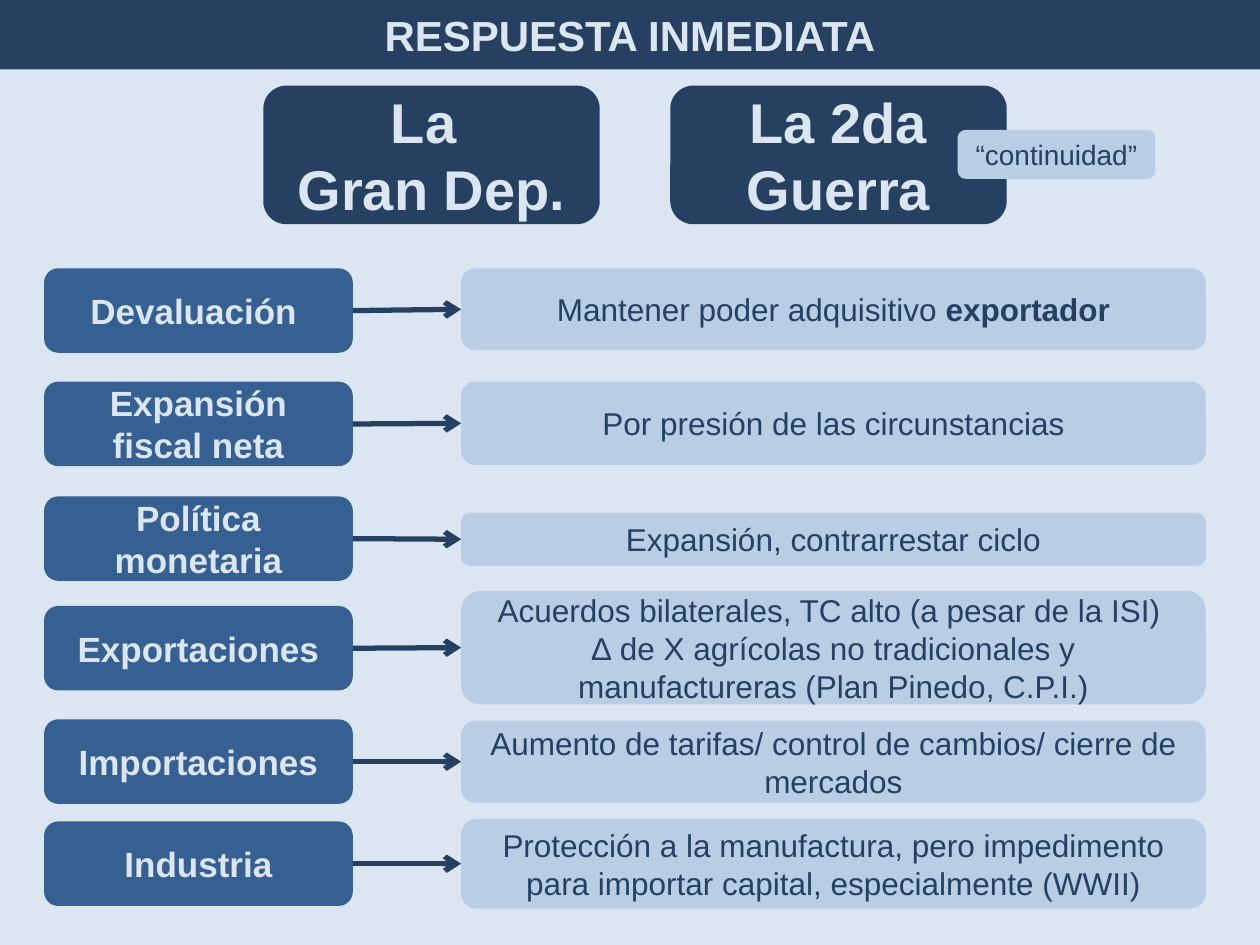
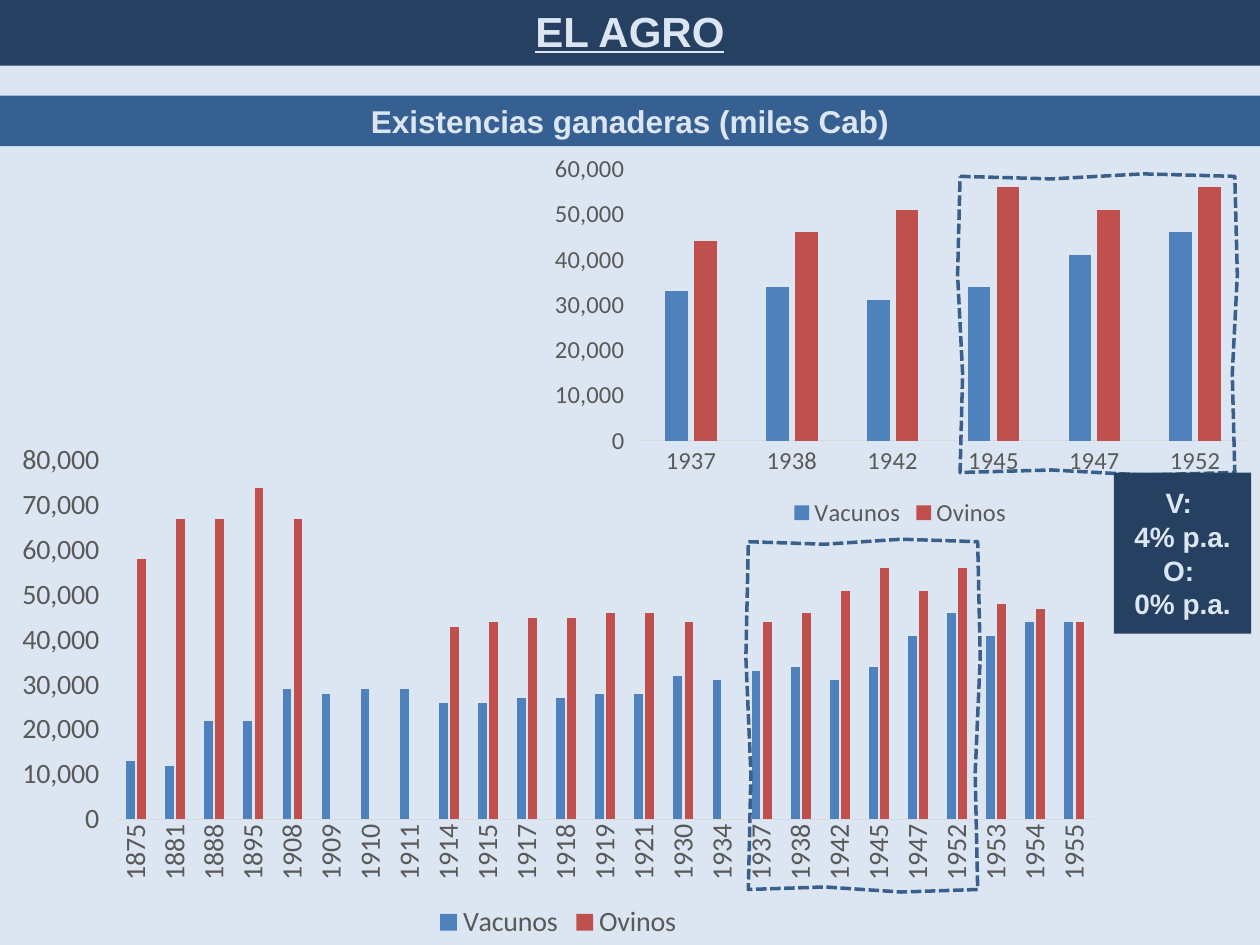
from lxml.etree import SubElement
from pptx import Presentation
from pptx.chart.data import CategoryChartData
from pptx.dml.color import RGBColor
from pptx.enum.chart import XL_CHART_TYPE as ChartType, XL_LEGEND_POSITION as LegendPos, XL_TICK_MARK as Tick
from pptx.enum.dml import MSO_LINE as Dash
from pptx.enum.shapes import MSO_CONNECTOR as Link, MSO_SHAPE as Preset
from pptx.enum.text import MSO_ANCHOR as Anchor, PP_ALIGN as Align
from pptx.oxml.ns import qn
from pptx.util import Inches, Pt

# Shared look
WIDTH, HEIGHT = 10, 7.5
PALE, LIGHT, MEDIUM, DARK = "DCE6F2", "B9CDE5", "376092", "254061"
GREY, AXIS_GREY, DASH_BLUE = "595959", "D9D9D9", "3A5F8C"
rgb = RGBColor.from_string


def add_box(slide, place, text, fill, size, color=PALE, bold=True,
            preset=Preset.ROUNDED_RECTANGLE, emphasis=""):
    """Filled box with centred text; emphasis is a bold ending."""
    box = slide.shapes.add_shape(preset, *map(Inches, place))
    box.shadow.inherit = False
    box.fill.solid()
    box.fill.fore_color.rgb = rgb(fill)
    box.line.fill.background()
    frame = box.text_frame
    frame.word_wrap = True
    frame.vertical_anchor = Anchor.MIDDLE
    frame.text = text
    if emphasis:
        frame.paragraphs[-1].add_run().text = emphasis
    for paragraph in frame.paragraphs:
        paragraph.alignment = Align.CENTER
        for run in paragraph.runs:
            run.font.name = "Arial"
            run.font.size = Pt(size)
            run.font.bold = bold or run.text == emphasis
            run.font.color.rgb = rgb(color)
    return box


def add_title(slide, text, top):
    """Dark band across the top of a slide."""
    band = add_box(slide, (0, top, WIDTH, 0.55), text, DARK, 24)
    band.adjustments[0] = 0
    return band


prs = Presentation()
prs.slide_width, prs.slide_height = Inches(WIDTH), Inches(HEIGHT)
response, farming = [prs.slides.add_slide(prs.slide_layouts[6]) for _ in range(2)]
for slide in (response, farming):
    slide.background.fill.solid()
    slide.background.fill.fore_color.rgb = rgb(PALE)

# Slide 1: immediate response
add_title(response, "RESPUESTA INMEDIATA", 0)
for left, period in ((2.09, "La \nGran Dep."), (5.32, "La 2da Guerra")):
    add_box(response, (left, 0.68, 2.67, 1.1), period, DARK, 32)
add_box(response, (7.6, 1.03, 1.57, 0.39), "“continuidad”", LIGHT, 16, DARK, False)

# Policies: top, policy, effect top and height, effect, bold ending
POLICY_LEFT, POLICY_WIDTH, POLICY_HEIGHT = 0.35, 2.45, 0.67
EFFECT_LEFT, EFFECT_WIDTH = 3.66, 5.91
policies = [
    (2.13, "Devaluación ", 2.13, 0.65, "Mantener poder adquisitivo ", "exportador"),
    (3.03, "Expansión fiscal neta", 3.03, 0.66, "Por presión de las circunstancias", ""),
    (3.94, "Política monetaria", 4.07, 0.42, "Expansión, contrarrestar ciclo", ""),
    (4.81, "Exportaciones", 4.69, 0.9,
     "Acuerdos bilaterales, TC alto (a pesar de la ISI) \n"
     "∆ de X agrícolas no tradicionales y manufactureras (Plan Pinedo, C.P.I.)", ""),
    (5.71, "Importaciones", 5.72, 0.65,
     "Aumento de tarifas/ control de cambios/ cierre de mercados", ""),
    (6.52, "Industria", 6.5, 0.71,
     "Protección a la manufactura, pero impedimento para importar capital, "
     "especialmente (WWII)", ""),
]
for policy_top, policy, effect_top, effect_height, effect, ending in policies:
    policy_box = add_box(
        response, (POLICY_LEFT, policy_top, POLICY_WIDTH, POLICY_HEIGHT),
        policy, MEDIUM, 20)
    effect_box = add_box(
        response, (EFFECT_LEFT, effect_top, EFFECT_WIDTH, effect_height),
        effect, LIGHT, 18, DARK, False, emphasis=ending)
    arrow = response.shapes.add_connector(Link.STRAIGHT, 0, 0, 0, 0)
    arrow.begin_connect(policy_box, 3)
    arrow.end_connect(effect_box, 1)
    arrow.line.color.rgb = rgb(DARK)
    arrow.line.width = Pt(3)
    outline = arrow.element.xpath(".//a:ln")[0]
    SubElement(outline, qn("a:tailEnd"), type="arrow")
    SubElement(outline.getparent(), qn("a:effectLst"))

# Slide 2: livestock, in thousands of head
add_box(farming, (0, 0.76, WIDTH, 0.4), "Existencias ganaderas (miles Cab)", MEDIUM, 18,
        preset=Preset.RECTANGLE)
years = [1875, 1881, 1888, 1895, 1908, 1909, 1910, 1911, 1914, 1915, 1917, 1918, 1919,
         1921, 1930, 1934, 1937, 1938, 1942, 1945, 1947, 1952, 1953, 1954, 1955]
herds = [
    ("Vacunos", "4F81BD", [13, 12, 22, 22, 29, 28, 29, 29, 26, 26, 27, 27, 28,
                           28, 32, 31, 33, 34, 31, 34, 41, 46, 41, 44, 44]),
    ("Ovinos", "C0504D", [58, 67, 67, 74, 67, None, None, None, 43, 44, 45, 45, 46,
                          46, 44, None, 44, 46, 51, 56, 51, 56, 48, 47, 44]),
]
war_years = slice(years.index(1937), years.index(1953))

# Long run below, war years enlarged above
charts = [
    ((0, 3.44, 8.86, 4.06), slice(None), 16, 80000, -90),
    ((4.29, 1.16, 5.71, 3.07), war_years, 14, 60000, 0),
]
for place, span, size, top_value, label_angle in charts:
    data = CategoryChartData()
    data.categories = [str(year) for year in years[span]]
    for herd, _, heads in herds:
        data.add_series(herd, [None if n is None else n * 1000 for n in heads[span]])
    chart = farming.shapes.add_chart(
        ChartType.COLUMN_CLUSTERED, *map(Inches, place), data).chart
    chart.has_title = False
    chart.has_legend = True
    chart.legend.position = LegendPos.BOTTOM
    chart.legend.include_in_layout = False
    plot = chart.plots[0]
    plot.gap_width, plot.overlap, plot.vary_by_categories = 219, -27, False
    for series, (_, color, _) in zip(plot.series, herds):
        series.format.fill.solid()
        series.format.fill.fore_color.rgb = rgb(color)
    time_axis, head_axis = chart.category_axis, chart.value_axis
    for axis in (time_axis, head_axis):
        axis.has_major_gridlines = False
        axis.major_tick_mark = axis.minor_tick_mark = Tick.NONE
    for font in (chart.font, chart.legend.font,
                 time_axis.tick_labels.font, head_axis.tick_labels.font):
        font.name, font.size = "Calibri", Pt(size)
        font.color.rgb = rgb(GREY)
    time_axis.format.line.color.rgb = rgb(AXIS_GREY)
    time_axis.format.line.width = Pt(0.75)
    label_body = chart.element.xpath(".//c:catAx/c:txPr/a:bodyPr")[0]
    label_body.set("rot", str(label_angle * 60000))
    head_axis.format.line.fill.background()
    head_axis.minimum_scale, head_axis.maximum_scale = 0, top_value
    head_axis.tick_labels.number_format = r"#,##0\ \ "
    head_axis.tick_labels.number_format_is_linked = False

# Uneven dashed frames around the war years: each side bends at its thirds
BEND = 0.02
for left, top, right, bottom in ((5.94, 4.3, 7.76, 7.06), (7.62, 1.4, 9.8, 3.75)):
    corners = [(left, top), (right, top), (right, bottom), (left, bottom), (left, top)]
    points = []
    for (x1, y1), (x2, y2) in zip(corners, corners[1:]):
        for share, shift in ((0, 0), (1 / 3, BEND), (2 / 3, -BEND)):
            across, down = (shift, 0) if x1 == x2 else (0, shift)
            points.append((Inches(x1 + (x2 - x1) * share + across),
                           Inches(y1 + (y2 - y1) * share + down)))
    builder = farming.shapes.build_freeform(*points[0])
    builder.add_line_segments(points[1:], close=True)
    war_frame = builder.convert_to_shape()
    war_frame.shadow.inherit = False
    war_frame.fill.background()
    war_frame.line.color.rgb = rgb(DASH_BLUE)
    war_frame.line.width = Pt(2)
    war_frame.line.dash_style = Dash.SQUARE_DOT

# Growth rates and title
add_box(farming, (8.84, 3.75, 1.09, 1.28), "V: \n4% p.a.\nO: \n0% p.a.", DARK, 16,
        preset=Preset.RECTANGLE)
farming_title = add_title(farming, "EL AGRO", -0.03)
farming_title.text_frame.paragraphs[0].runs[0].font.underline = True

prs.save("out.pptx")
